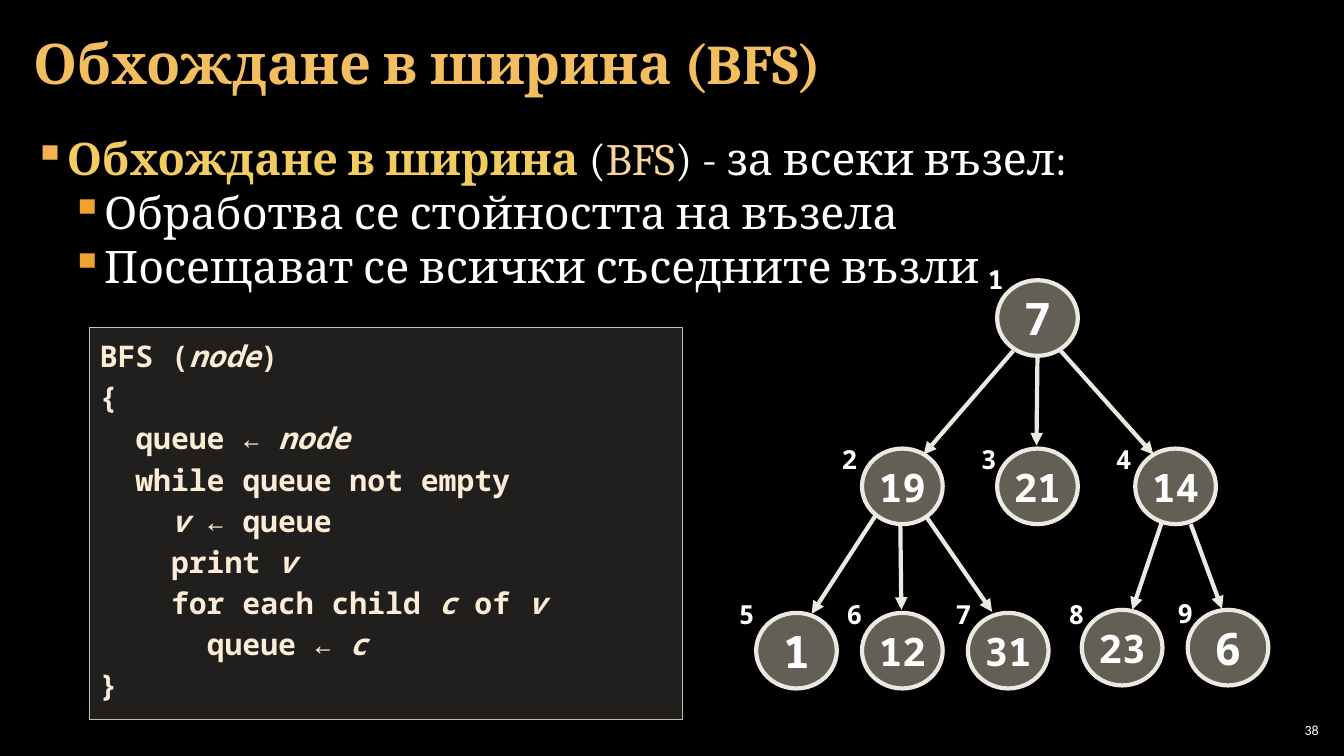
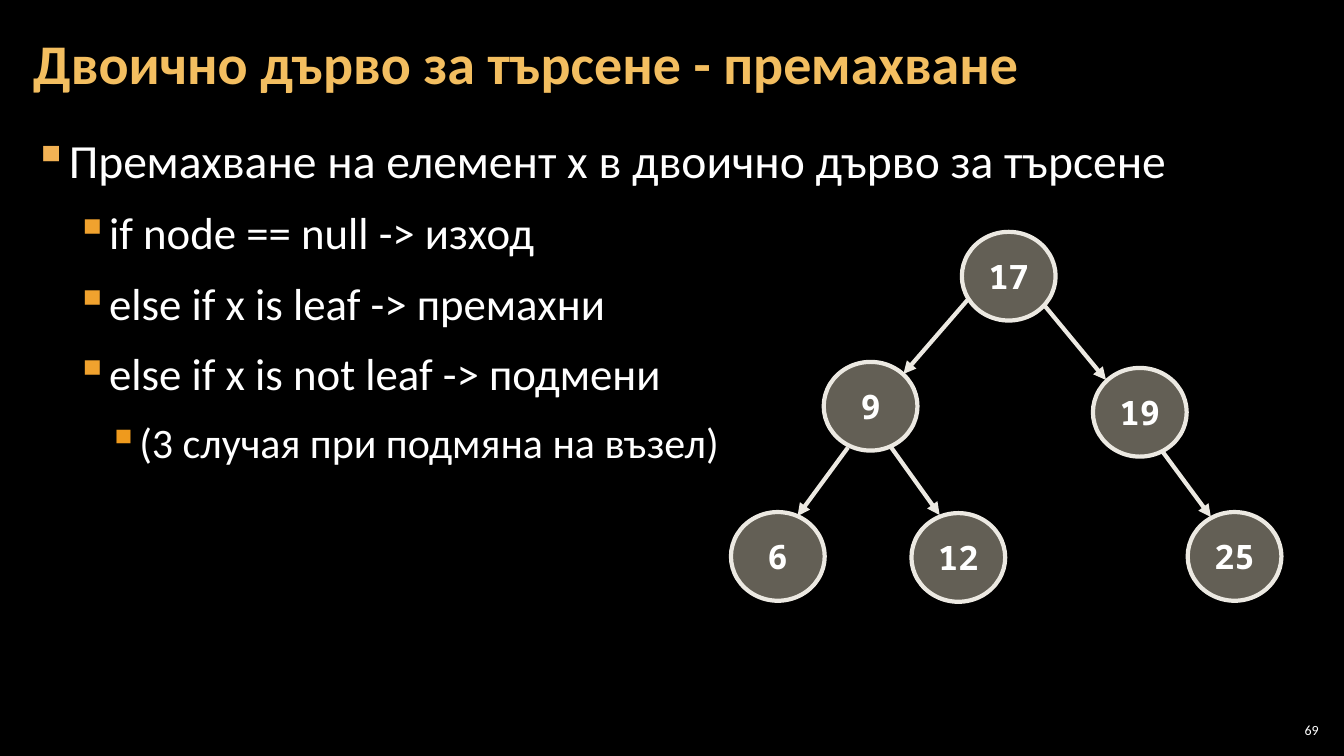
import pptx
import pptx.util
import pptx.dml.color
import pptx.enum.shapes
import pptx.enum.text
import pptx.oxml
import pptx.oxml.ns
from lxml import etree

Inches = pptx.util.Inches
Pt = pptx.util.Pt
RGBColor = pptx.dml.color.RGBColor
MSO_SHAPE = pptx.enum.shapes.MSO_SHAPE
PP_ALIGN = pptx.enum.text.PP_ALIGN
MSO_ANCHOR = pptx.enum.text.MSO_ANCHOR
qn = pptx.oxml.ns.qn

BLACK = RGBColor(0x00, 0x00, 0x00)
WHITE = RGBColor(0xFF, 0xFF, 0xFF)
TITLE_GOLD = RGBColor(0xF3, 0xBE, 0x60)
TERM_GOLD = RGBColor(0xF3, 0xCC, 0x5F)
TERM_PEACH = RGBColor(0xF8, 0xD4, 0x9E)
CODE_TEXT = RGBColor(0xFC, 0xEC, 0xD5)
CODE_FILL = RGBColor(0xD9, 0xD4, 0xC6)
STONE = RGBColor(0xC6, 0xBE, 0xAB)
NODE_LINE = RGBColor(0xEC, 0xE9, 0xE2)
BULLET_COLORS = [RGBColor(0xF2, 0xB2, 0x54), RGBColor(0xF0, 0xA2, 0x2E),
                 RGBColor(0xEF, 0x9A, 0x1D)]

MONO = "Noto Sans Mono"
TEXT_INSETS = (0.12, 0.04)
SHAPE_INSETS = (0.1, 0.05)
TIGHT_INSETS = (0.04, 0.05)
FOOTER_INSETS = (0.04, 0.04)

# Body paragraphs: level, size, runs of (text, format changes)
BFS_SLIDE = {
    "title": "Обхождане в ширина (BFS)",
    "number": "38",
    "font": "Cambria",
    "hanging": [0.33, 0.3],
    "space_before": 0,
    "body": [
        (0, 32, [("Обхождане в ширина ", {"bold": True, "color": TERM_GOLD}),
                 ("(", {}), ("BFS", {"color": TERM_PEACH}),
                 (") - за всеки възел:", {})]),
        (1, 32, [("Обработва се стойността на възела", {})]),
        (1, 32, [("Посещават се всички съседните възли", {})]),
    ],
    "node_size": (0.8, 0.75),
    # value, left, top, text size, insets
    "nodes": [
        ("7", 9.89, 2.78, 32, SHAPE_INSETS),
        ("19", 8.55, 4.45, 28, TIGHT_INSETS),
        ("21", 9.89, 4.45, 28, TIGHT_INSETS),
        ("14", 11.26, 4.45, 28, TIGHT_INSETS),
        ("1", 7.5, 6.08, 32, SHAPE_INSETS),
        ("12", 8.55, 6.08, 28, TIGHT_INSETS),
        ("31", 9.6, 6.08, 28, TIGHT_INSETS),
        ("23", 10.73, 6.05, 28, TIGHT_INSETS),
        ("6", 11.78, 6.05, 32, SHAPE_INSETS),
    ],
    "arrows": [
        (10.05, 3.48, 9.16, 4.51), (10.29, 3.53, 10.28, 4.42),
        (10.52, 3.48, 11.44, 4.51), (8.68, 5.12, 8.05, 6.09),
        (8.93, 5.22, 8.94, 6.05), (9.19, 5.13, 9.84, 6.07),
        (11.52, 5.19, 11.23, 6.05), (11.81, 5.2, 12.12, 6.04),
    ],
    # left and top of the labels 1, 2, 3 ... in visiting order
    "visits": [
        (9.7, 2.56), (8.25, 4.35), (9.63, 4.35), (10.97, 4.35), (7.23, 5.89),
        (8.3, 5.89), (9.38, 5.89), (10.5, 5.89), (11.58, 5.88),
    ],
}

# Underscores enclose italic words
BFS_CODE = [
    "BFS (_node_)",
    "{",
    "  queue ← _node_",
    "  while queue not empty",
    "    _v _← queue",
    "    print _v_",
    "    for each child _c_ of _v_",
    "      queue ← _c_",
    "}",
]

REMOVAL_SLIDE = {
    "title": "Двоично дърво за търсене - премахване",
    "number": "69",
    "font": "Calibri",
    "hanging": [0.33, 0.25, 0.26],
    "space_before": 12,
    "body": [
        (0, 34, [("Премахване на елемент x в двоично дърво за търсене", {})]),
        (1, 32, [("if node == null -> изход", {})]),
        (1, 32, [("else if x is leaf -> премахни", {})]),
        (1, 32, [("else if x is not leaf -> подмени", {})]),
        (2, 30, [("(3 случая при подмяна на възел)", {})]),
    ],
    "node_size": (0.93, 0.88),
    "nodes": [
        ("17", 9.54, 2.3, 24, SHAPE_INSETS),
        ("9", 8.17, 3.59, 24, SHAPE_INSETS),
        ("19", 10.84, 3.65, 24, SHAPE_INSETS),
        ("6", 7.25, 5.08, 24, SHAPE_INSETS),
        ("12", 9.04, 5.09, 24, SHAPE_INSETS),
        ("25", 11.78, 5.08, 24, SHAPE_INSETS),
    ],
    "arrows": [
        (9.61, 2.96, 8.96, 3.71), (10.35, 3.02, 10.97, 3.77),
        (8.41, 4.44, 7.91, 5.12), (8.84, 4.44, 9.32, 5.11),
        (11.53, 4.48, 12.01, 5.13),
    ],
    "visits": [],
}


def add_run(paragraph, text, color=WHITE, size=None, **font_values):
    run = paragraph.add_run()
    run.text = text
    run.font.color.rgb = color
    run.font.size = Pt(size)
    for name, value in font_values.items():
        setattr(run.font, name, value)


def set_frame(shape, insets, anchor=MSO_ANCHOR.TOP):
    frame = shape.text_frame
    horizontal, vertical = map(Inches, insets)
    values = {"word_wrap": True, "vertical_anchor": anchor,
              "margin_left": horizontal, "margin_right": horizontal,
              "margin_top": vertical, "margin_bottom": vertical}
    for name, value in values.items():
        setattr(frame, name, value)
    return frame


def add_text_box(shapes, box, insets, anchor=MSO_ANCHOR.TOP):
    return set_frame(shapes.add_textbox(*map(Inches, box)), insets, anchor)


def add_panel(shapes, kind, box, fill, opacity, line, line_width):
    """Add a preset shape with a translucent fill; opacity is in percent."""
    shape = shapes.add_shape(kind, *map(Inches, box))
    shape.shadow.inherit = False
    shape.fill.solid()
    shape.fill.fore_color.rgb = fill
    color = shape.fill._xPr.find(".//" + qn("a:srgbClr"))
    etree.SubElement(color, qn("a:alpha"), val=str(opacity * 1000))
    shape.line.color.rgb = line
    shape.line.width = Pt(line_width)
    return shape


def add_arrow(shapes, ends):
    arrow = shapes.add_connector(pptx.enum.shapes.MSO_CONNECTOR.STRAIGHT,
                                 *map(Inches, ends))
    arrow.line.color.rgb = NODE_LINE
    arrow.line.width = Pt(3)
    etree.SubElement(arrow.line._get_or_add_ln(), qn("a:tailEnd"), type="triangle")
    etree.SubElement(arrow._element.spPr, qn("a:effectLst"))


def set_bullet(paragraph, level, hanging):
    properties = paragraph._p.get_or_add_pPr()
    properties.set("marL", str(Inches(round((level + 1) / 3, 2))))
    properties.set("indent", str(-Inches(hanging)))
    color = etree.SubElement(properties, qn("a:buClr"))
    etree.SubElement(color, qn("a:srgbClr"), val=str(BULLET_COLORS[level]))
    etree.SubElement(properties, qn("a:buChar"), char="▪")


def add_body(slide, content):
    frame = add_text_box(slide.shapes, (0.21, 1.26, 12.91, 6.09), TEXT_INSETS)
    for index, (level, size, runs) in enumerate(content["body"]):
        paragraph = frame.add_paragraph() if index else frame.paragraphs[0]
        paragraph.level = level
        set_bullet(paragraph, level, content["hanging"][level])
        if index:
            paragraph.space_before = Pt(content["space_before"])
        for text, changes in runs:
            add_run(paragraph, text, size=size, name=content["font"], **changes)


def add_tree(slide, content):
    shapes = slide.shapes.add_group_shape().shapes
    for value, left, top, size, insets in content["nodes"]:
        node = add_panel(shapes, MSO_SHAPE.OVAL, (left, top, *content["node_size"]),
                         STONE, 50, NODE_LINE, 3)
        paragraph = set_frame(node, insets, MSO_ANCHOR.MIDDLE).paragraphs[0]
        paragraph.alignment = PP_ALIGN.CENTER
        add_run(paragraph, value, size=size, name=MONO, bold=True)
    for ends in content["arrows"]:
        add_arrow(shapes, ends)
    for order, (left, top) in enumerate(content["visits"], 1):
        frame = add_text_box(shapes, (left, top, 0.34, 0.42), SHAPE_INSETS)
        add_run(frame.paragraphs[0], str(order), size=18.7, name=MONO, bold=True)


def add_code(slide, lines):
    panel = add_panel(slide.shapes, MSO_SHAPE.RECTANGLE, (0.89, 3.25, 5.88, 3.89),
                      CODE_FILL, 15, STONE, 1)
    frame = set_frame(panel, SHAPE_INSETS)
    for index, line in enumerate(lines):
        paragraph = frame.add_paragraph() if index else frame.paragraphs[0]
        paragraph.alignment = PP_ALIGN.LEFT
        paragraph.line_spacing = 1.15
        for position, text in enumerate(line.split("_")):
            if text:
                add_run(paragraph, text, CODE_TEXT, 21.3, name=MONO, bold=True,
                        italic=position % 2 == 1)


def add_slide(presentation, content):
    """Add a slide with the shared background, title, body and number."""
    slide = presentation.slides.add_slide(presentation.slide_layouts[6])
    slide.background.fill.solid()
    slide.background.fill.fore_color.rgb = BLACK
    add_body(slide, content)
    title = add_text_box(slide.shapes, (0.21, 0.05, 10.47, 1.21), TEXT_INSETS,
                         MSO_ANCHOR.MIDDLE).paragraphs[0]
    title.line_spacing = 0.9
    add_run(title, content["title"], TITLE_GOLD, 40, name=content["font"], bold=True)
    number = add_text_box(slide.shapes, (12.65, 7.14, 0.47, 0.21), FOOTER_INSETS,
                          MSO_ANCHOR.MIDDLE).paragraphs[0]
    number.alignment = PP_ALIGN.RIGHT
    add_run(number, content["number"], size=10, name="Calibri")
    return slide


def main():
    presentation = pptx.Presentation()
    presentation.slide_width = Inches(13.33)
    presentation.slide_height = Inches(7.5)
    bfs = add_slide(presentation, BFS_SLIDE)
    add_code(bfs, BFS_CODE)
    add_tree(bfs, BFS_SLIDE)
    removal = add_slide(presentation, REMOVAL_SLIDE)
    add_tree(removal, REMOVAL_SLIDE)
    presentation.save("out.pptx")


if __name__ == "__main__":
    main()
